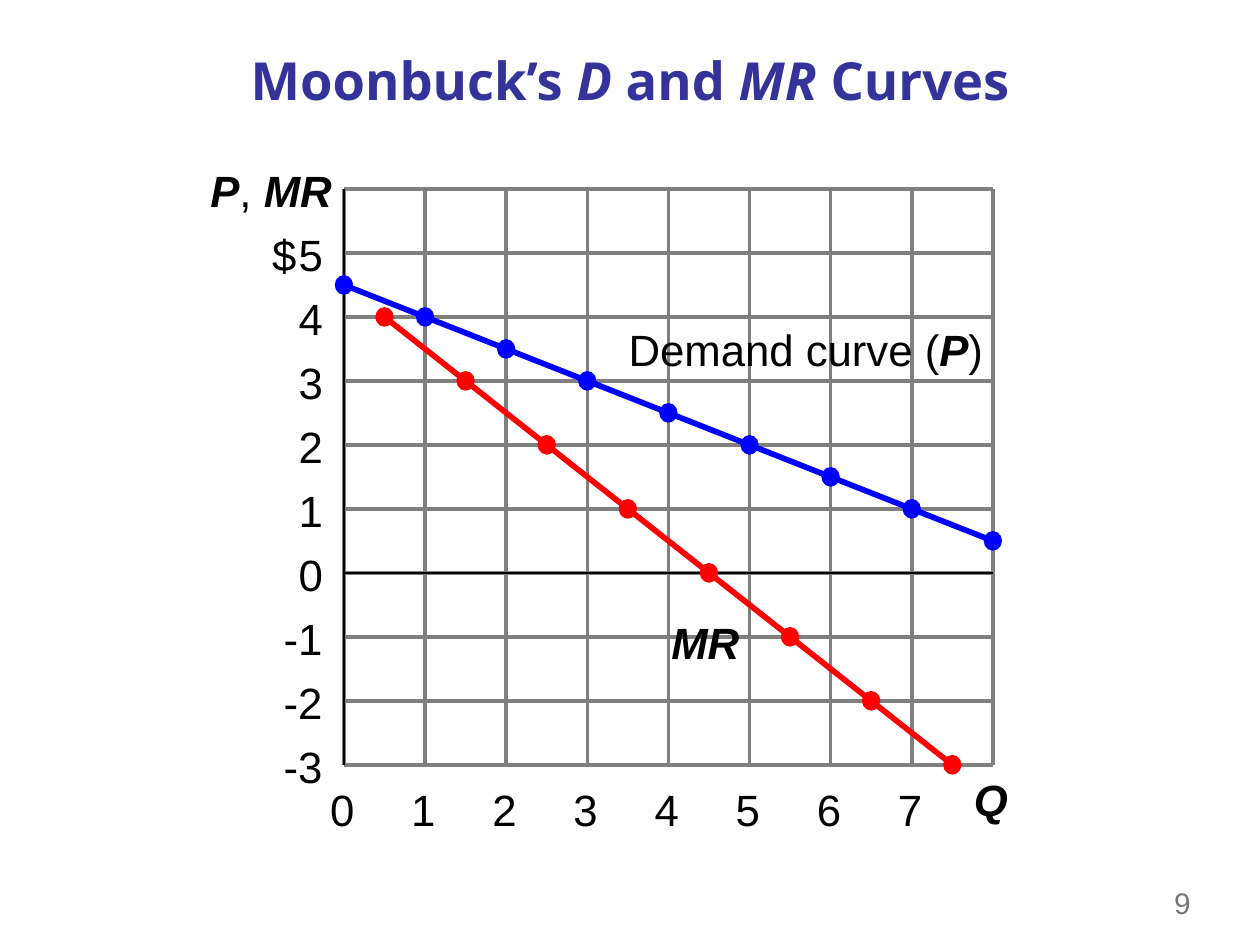
import pptx
import pptx.util
import pptx.dml.color
import pptx.enum.shapes
import pptx.enum.text
import pptx.oxml.ns
import lxml.etree

Inches = pptx.util.Inches
Pt = pptx.util.Pt
Align = pptx.enum.text.PP_ALIGN
Anchor = pptx.enum.text.MSO_ANCHOR
Shape = pptx.enum.shapes.MSO_SHAPE

LEFT, RIGHT, TOP, BOTTOM = 2.73, 7.88, 1.5, 6.07
QUANTITY_MAX, PRICE_MIN, PRICE_MAX = 8, -3, 6
STRONG = {"bold": True, "italic": True}


def color(value):
    return pptx.dml.color.RGBColor.from_string(value)


def write(frame, *runs, size=25, font="Arial", ink="000000", align=Align.LEFT,
          anchor=Anchor.TOP, inset=None, wrap=False):
    frame.word_wrap = wrap
    frame.vertical_anchor = anchor
    if inset is not None:
        frame.margin_left = frame.margin_right = Inches(inset)
        frame.margin_top = frame.margin_bottom = Inches(inset)
    para = frame.paragraphs[0]
    para.alignment = align
    for text, style in runs:
        span = para.add_run()
        span.text = text
        span.font.size = Pt(size)
        span.font.name = font
        span.font.color.rgb = color(ink)
        span.font.bold = style.get("bold", False)
        span.font.italic = style.get("italic", False)


def quantity_x(quantity):
    return LEFT + quantity * (RIGHT - LEFT) / QUANTITY_MAX


def price_y(price):
    return TOP + (PRICE_MAX - price) * (BOTTOM - TOP) / (PRICE_MAX - PRICE_MIN)


class GraphSlide:
    grid_color = "808080"
    axis_color = "000000"
    title_color = "333399"

    def __init__(self, deck):
        self.page = deck.slides.add_slide(deck.slide_layouts[5])

    def title(self, *runs):
        box = self.page.shapes.title
        box.left, box.top = Inches(0.5), Inches(0.28)
        box.width, box.height = Inches(9), Inches(0.71)
        write(box.text_frame, *runs, size=30, font="Open Sans",
              ink=self.title_color, align=Align.CENTER, anchor=Anchor.MIDDLE, wrap=True)

    def line(self, start, end, ink, width):
        line = self.page.shapes.add_connector(
            pptx.enum.shapes.MSO_CONNECTOR.STRAIGHT,
            *map(Inches, start), *map(Inches, end))
        line.line.color.rgb = color(ink)
        line.line.width = Pt(width)
        properties = line._element.spPr
        lxml.etree.SubElement(properties, pptx.oxml.ns.qn("a:effectLst"))

    def label(self, left, top, width, *runs, height=0.42, fill=None, parent=None, **style):
        shapes = (parent or self.page).shapes
        box = shapes.add_textbox(*map(Inches, (left, top, width, height)))
        if fill:
            box.fill.solid()
            box.fill.fore_color.rgb = color(fill)
        write(box.text_frame, *runs, **style)

    def grid(self):
        for price in range(PRICE_MIN, PRICE_MAX + 1):
            y = price_y(price)
            self.line((LEFT, y), (RIGHT, y), self.grid_color, 0)
        for quantity in range(QUANTITY_MAX + 1):
            x = quantity_x(quantity)
            self.line((x, TOP), (x, BOTTOM), self.grid_color, 0)

    def axes(self):
        for price in range(PRICE_MIN, PRICE_MAX):
            width = 0.31 if price < 0 else 0.19
            self.label(2.56 - width, price_y(price) - 0.2, width,
                       (str(price), {}), inset=0, align=Align.RIGHT)
        self.label(2.16, price_y(5) - 0.2, 0.19, ("$", {}), inset=0)
        for quantity in range(QUANTITY_MAX):
            self.label(quantity_x(quantity) - 0.11, 6.21, 0.19,
                       (str(quantity), {}), inset=0, fill="FFFFFF", align=Align.CENTER)
        self.label(7.73, 6.13, 0.27, ("Q", STRONG), inset=0)
        self.label(1.67, 1.3, 0.97, ("P", STRONG), (", ", {}), ("MR", STRONG), inset=0)
        self.line((LEFT, TOP), (LEFT, BOTTOM), self.axis_color, 1.5)
        self.line((LEFT, price_y(0)), (RIGHT, price_y(0)), self.axis_color, 1.5)

    def curve(self, values, ink):
        group = self.page.shapes.add_group_shape()
        points = [(Inches(quantity_x(quantity)), Inches(price_y(price)))
                  for quantity, price in values]
        builder = group.shapes.build_freeform(*points[0])
        builder.add_line_segments(points[1:], close=False)
        path = builder.convert_to_shape()
        path.shadow.inherit = False
        path.fill.background()
        path.line.color.rgb = color(ink)
        path.line.width = Pt(3.25)
        width, height = Inches(0.13), Inches(0.14)
        for x, y in points:
            marker = group.shapes.add_shape(
                Shape.OVAL, x - width // 2, y - height // 2, width, height)
            marker.shadow.inherit = False
            marker.fill.solid()
            marker.fill.fore_color.rgb = color(ink)
            marker.line.color.rgb = color(ink)
            marker.line.width = Pt(1.13)
        return group


def main():
    deck = pptx.Presentation()
    deck.slide_width, deck.slide_height = Inches(10), Inches(7.5)
    graph = GraphSlide(deck)
    graph.title(("Moonbuck’s ", {"bold": True}), ("D", STRONG),
                (" and ", {"bold": True}), ("MR", STRONG), (" Curves", {"bold": True}))
    graph.label(9.22, 6.96, 0.67, ("9", {}), height=0.41, size=17,
                ink="777777", anchor=Anchor.MIDDLE, wrap=True)
    graph.grid()
    graph.axes()
    demand = graph.curve([(q, 4.5 - q / 2) for q in range(9)], "0000FF")
    graph.label(4.89, 2.51, 3.02, ("Demand curve (", {}), ("P", STRONG), (")", {}),
                height=0.52, parent=demand)
    revenue = graph.curve([(q + 0.5, 4 - q) for q in range(8)], "FF0000")
    graph.label(5.23, 4.84, 0.74, ("MR", STRONG), height=0.52, parent=revenue)
    deck.save("out.pptx")


if __name__ == "__main__":
    main()
